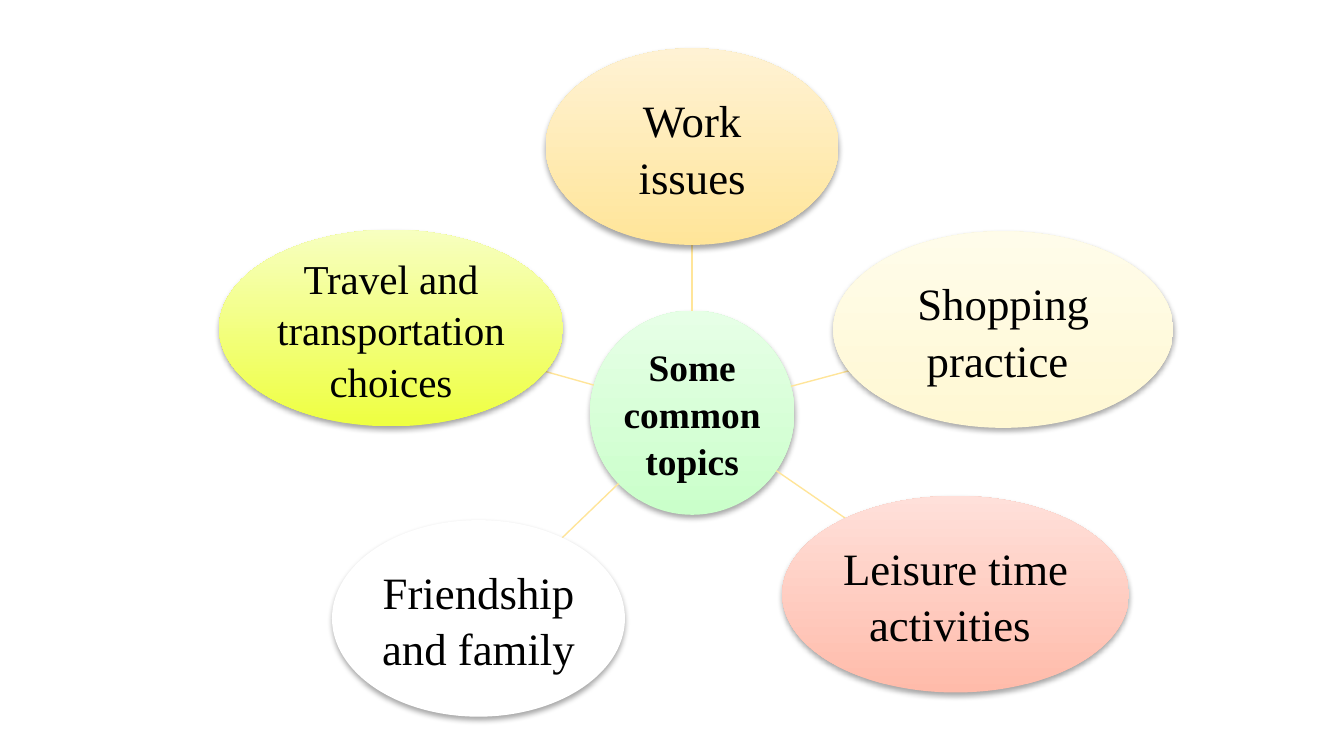
from dataclasses import dataclass
from math import hypot
from typing import Optional

from lxml.etree import SubElement
from pptx import Presentation
from pptx.dml.color import RGBColor
from pptx.enum.shapes import MSO_CONNECTOR, MSO_SHAPE
from pptx.enum.text import MSO_ANCHOR, PP_ALIGN
from pptx.oxml.ns import qn
from pptx.util import Inches, Pt

WIDTH, HEIGHT = 10, 5.625
FONT = "Times New Roman"
TOPIC_HEIGHT = 26  # percent of the slide height, shared by all topics

COLORS = {
    "text": "000000",
    "shadow": "000000",
    "spoke": "FFE599",
    "green": "CAFFCA", "green_light": "E6FFE6",
    "orange": "FFE599", "orange_light": "FFF2D4",
    "cream": "FFF8D3", "cream_light": "FFFCEA",
    "coral": "FFBBAA", "coral_light": "FFE0DA",
    "lime": "EEFF41", "lime_light": "F7FFC0",
    "white": "FFFFFF",
}


@dataclass(frozen=True)
class Bubble:
    """An ellipse; centre and size are percentages of the slide."""
    text: str
    center_x: float
    center_y: float
    width: float
    bottom: str
    top: Optional[str] = None
    height: float = TOPIC_HEIGHT
    size: int = 24
    bold: bool = False
    inset: float = 0.02

    @property
    def center(self) -> tuple[float, float]:
        return self.center_x * WIDTH / 100, self.center_y * HEIGHT / 100

    @property
    def radii(self) -> tuple[float, float]:
        return self.width * WIDTH / 200, self.height * HEIGHT / 200


HUB = Bubble("Some common topics", 51.5, 54.6, 15.2, "green", "green_light",
             height=27, size=20, bold=True, inset=0.01)
TOPICS = [
    Bubble("Work issues", 51.5, 19.4, 21.8, "orange", "orange_light"),
    Bubble("Shopping practice ", 74.65, 43.6, 25.3, "cream", "cream_light"),
    Bubble("Leisure time activities ", 71.1, 78.6, 25.8, "coral", "coral_light"),
    Bubble("Friendship and family", 35.6, 81.8, 21.8, "white"),
    Bubble("Travel and transportation choices", 29.1, 43.4, 25.6,
           "lime", "lime_light", size=22),
]


def color(name: str) -> RGBColor:
    return RGBColor.from_string(COLORS[name])


def add_shadow(shape) -> None:
    shape.shadow.inherit = False
    effects = shape._element.spPr.find(qn("a:effectLst"))
    shadow = SubElement(effects, qn("a:outerShdw"), blurRad=str(Pt(3.1)),
                        dist=str(Pt(1.8)), dir="5400000", rotWithShape="0")
    shade = SubElement(shadow, qn("a:srgbClr"), val=COLORS["shadow"])
    SubElement(shade, qn("a:alpha"), val="35000")


def add_bubble(slide, bubble: Bubble) -> None:
    (x, y), (rx, ry) = bubble.center, bubble.radii
    ellipse = slide.shapes.add_shape(
        MSO_SHAPE.OVAL, Inches(x - rx), Inches(y - ry), Inches(2 * rx), Inches(2 * ry))
    ellipse.line.fill.background()
    if bubble.top:
        ellipse.fill.gradient()
        ellipse.fill.gradient_angle = 90
        for stop, name in zip(ellipse.fill.gradient_stops, (bubble.bottom, bubble.top)):
            stop.color.rgb = color(name)
    else:
        ellipse.fill.solid()
        ellipse.fill.fore_color.rgb = color(bubble.bottom)
    add_shadow(ellipse)

    frame = ellipse.text_frame
    frame.word_wrap = True
    frame.vertical_anchor = MSO_ANCHOR.MIDDLE
    frame.margin_left = frame.margin_right = Inches(bubble.inset)
    frame.margin_top = frame.margin_bottom = Inches(bubble.inset)
    label = frame.paragraphs[0]
    label.alignment = PP_ALIGN.CENTER
    label.line_spacing = 1.05
    run = label.add_run()
    run.text = bubble.text
    run.font.name = FONT
    run.font.size = Pt(bubble.size)
    run.font.bold = bubble.bold
    run.font.color.rgb = color("text")


def edge_toward(bubble: Bubble, target: Bubble) -> tuple[float, float]:
    """Point where the line between two centres leaves the bubble."""
    (x, y), (rx, ry) = bubble.center, bubble.radii
    dx, dy = target.center[0] - x, target.center[1] - y
    reach = 1 / hypot(dx / rx, dy / ry)
    return x + dx * reach, y + dy * reach


def add_spoke(slide, hub: Bubble, topic: Bubble) -> None:
    ends = (*edge_toward(hub, topic), *edge_toward(topic, hub))
    spoke = slide.shapes.add_connector(MSO_CONNECTOR.STRAIGHT, *map(Inches, ends))
    spoke.line.color.rgb = color("spoke")
    spoke.line.width = Pt(0.75)
    SubElement(spoke._element.spPr, qn("a:effectLst"))


def main() -> None:
    deck = Presentation()
    deck.slide_width, deck.slide_height = Inches(WIDTH), Inches(HEIGHT)
    slide = deck.slides.add_slide(deck.slide_layouts[6])

    # Central theme
    add_bubble(slide, HUB)

    # Topics around it, each joined by a spoke
    for topic in TOPICS:
        add_spoke(slide, HUB, topic)
        add_bubble(slide, topic)

    deck.save("out.pptx")


if __name__ == "__main__":
    main()
